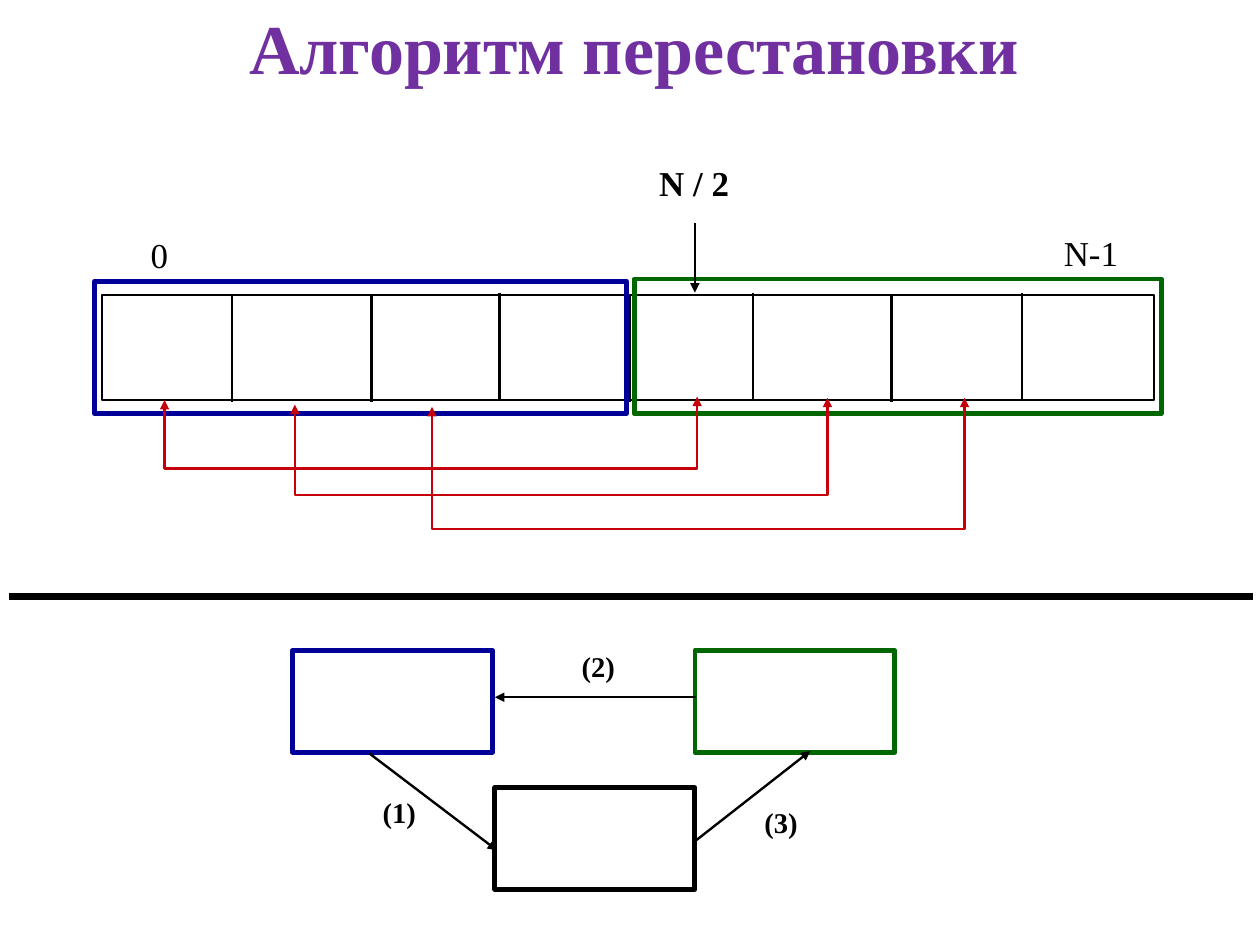
from dataclasses import dataclass

import pptx
import pptx.dml.color
import pptx.enum.shapes
import pptx.enum.text
import pptx.oxml
import pptx.oxml.ns
import pptx.util

Inches = pptx.util.Inches
Point = tuple[float, float]

COLORS = {
    "title": "7030A0",
    "ink": "000000",
    "first_half": "000099",
    "second_half": "006600",
    "swap": "C5000B",
}
FONT = "Times New Roman"
# 28 by 21 cm, in the exact units of the page format
PAGE_WIDTH, PAGE_HEIGHT = pptx.util.Emu(10080625), pptx.util.Emu(7559675)


@dataclass
class Box:
    left: float
    top: float
    width: float
    height: float
    color: str = "ink"
    weight: float = 3


@dataclass
class Segment:
    start: Point
    end: Point
    weight: float = 1.5
    arrow: bool = False


@dataclass
class Swap:
    left: float
    left_tip: float
    bottom: float
    right_tip: float


@dataclass
class Label:
    text: str
    left: float
    top: float
    width: float
    height: float
    size: float
    bold: bool = True
    wrap: bool = False


def rgb(color: str) -> pptx.dml.color.RGBColor:
    return pptx.dml.color.RGBColor.from_string(COLORS[color])


def style_line(shape, color: str, weight: float, ends: tuple = ()) -> None:
    shape.line.color.rgb = rgb(color)
    shape.line.width = pptx.util.Pt(weight)
    for end in ends:
        arrowhead = pptx.oxml.parse_xml(
            f'<a:{end} {pptx.oxml.ns.nsdecls("a")} type="triangle"/>')
        shape.line._get_or_add_ln().append(arrowhead)


def draw_box(slide, box: Box) -> None:
    frame = slide.shapes.add_shape(
        pptx.enum.shapes.MSO_SHAPE.RECTANGLE,
        Inches(box.left), Inches(box.top), Inches(box.width), Inches(box.height))
    frame.shadow.inherit = False
    frame.fill.background()
    style_line(frame, box.color, box.weight)


def draw_segment(slide, segment: Segment) -> None:
    line = slide.shapes.add_connector(
        pptx.enum.shapes.MSO_CONNECTOR.STRAIGHT,
        *map(Inches, segment.start + segment.end))
    style_line(line, "ink", segment.weight, ("tailEnd",) if segment.arrow else ())
    line._element.spPr.append(
        pptx.oxml.parse_xml(f'<a:effectLst {pptx.oxml.ns.nsdecls("a")}/>'))


def draw_swap(slide, swap: Swap) -> None:
    right = swap.left + SWAP_SPAN
    outline = slide.shapes.build_freeform(Inches(swap.left), Inches(swap.left_tip))
    corners = [(swap.left, swap.bottom), (right, swap.bottom), (right, swap.right_tip)]
    outline.add_line_segments(
        [(Inches(x), Inches(y)) for x, y in corners], close=False)
    bracket = outline.convert_to_shape()
    bracket.shadow.inherit = False
    bracket.fill.background()
    style_line(bracket, "swap", 1.5, ("headEnd", "tailEnd"))


def draw_label(slide, label: Label, color: str = "ink", centered: bool = False) -> None:
    frame = slide.shapes.add_textbox(
        Inches(label.left), Inches(label.top),
        Inches(label.width), Inches(label.height)).text_frame
    frame.word_wrap = label.wrap
    frame.margin_left = frame.margin_right = Inches(0.1)
    frame.margin_top, frame.margin_bottom = Inches(0.07), Inches(0.05)
    paragraph = frame.paragraphs[0]
    if centered:
        frame.margin_top, frame.margin_bottom = Inches(0.04), Inches(0.06)
        frame.vertical_anchor = pptx.enum.text.MSO_ANCHOR.MIDDLE
        paragraph.alignment = pptx.enum.text.PP_ALIGN.CENTER
    else:
        paragraph.line_spacing = 0.93
    run = paragraph.add_run()
    run.text = label.text
    run.font.name = FONT
    run.font.size = pptx.util.Pt(label.size)
    run.font.bold = label.bold
    run.font.color.rgb = rgb(color)


TITLE = Label("Алгоритм перестановки", 0.59, 0.04, 9.92, 0.75, 44.1, wrap=True)

# Array: divider positions and the top of each
ARRAY = Box(0.89, 2.58, 9.21, 0.92, weight=1.5)
DIVIDER_HEIGHT = 0.94
DIVIDERS = [(2.03, 2.58), (3.25, 2.58), (4.37, 2.56), (5.51, 2.58),
            (6.59, 2.56), (7.8, 2.58), (8.94, 2.56)]
HALVES = [
    Box(0.83, 2.46, 4.65, 1.16, "first_half"),
    Box(5.55, 2.44, 4.61, 1.18, "second_half"),
]
SWAP_SPAN = 4.66
SWAPS = [
    Swap(1.44, 3.5, 4.1, 3.47),
    Swap(2.58, 3.54, 4.33, 3.48),
    Swap(3.78, 3.56, 4.63, 3.48),
]
MIDDLE_POINTER = Segment((6.08, 1.95), (6.08, 2.56), arrow=True)
SEPARATOR = Segment((0.08, 5.22), (10.96, 5.22), weight=4.5)

# Exchange of two cells through a buffer
CELL = (1.75, 0.89)
CELLS = [
    Box(2.56, 5.69, *CELL, "first_half"),
    Box(6.08, 5.69, *CELL, "second_half"),
    Box(4.33, 6.89, *CELL),
]
MOVES = [
    Segment((3.23, 6.59), (4.35, 7.44), arrow=True),
    Segment((6.09, 6.1), (4.33, 6.1), arrow=True),
    Segment((6.08, 7.36), (7.09, 6.57), arrow=True),
]

STEP_SPOTS = [(3.25, 6.91), (4.99, 5.63), (6.59, 7)]
LABELS = [
    Label("0", 1.22, 2.01, 0.37, 0.44, 22, bold=False, wrap=True),
    Label("N-1", 9.21, 1.99, 0.69, 0.44, 22, bold=False),
    Label("N / 2", 5.67, 1.38, 0.87, 0.49, 22, wrap=True),
] + [Label(f"({step})", left, top, 0.5, 0.38, 18)
     for step, (left, top) in enumerate(STEP_SPOTS, 1)]


def main() -> None:
    deck = pptx.Presentation()
    deck.slide_width, deck.slide_height = PAGE_WIDTH, PAGE_HEIGHT
    slide = deck.slides.add_slide(deck.slide_layouts[6])

    draw_label(slide, TITLE, "title", centered=True)

    dividers = [Segment((x, top), (x, top + DIVIDER_HEIGHT)) for x, top in DIVIDERS]
    for box in [ARRAY, *HALVES, *CELLS]:
        draw_box(slide, box)
    for segment in [*dividers, MIDDLE_POINTER, SEPARATOR, *MOVES]:
        draw_segment(slide, segment)
    for swap in SWAPS:
        draw_swap(slide, swap)
    for label in LABELS:
        draw_label(slide, label)

    deck.save("out.pptx")


if __name__ == "__main__":
    main()
